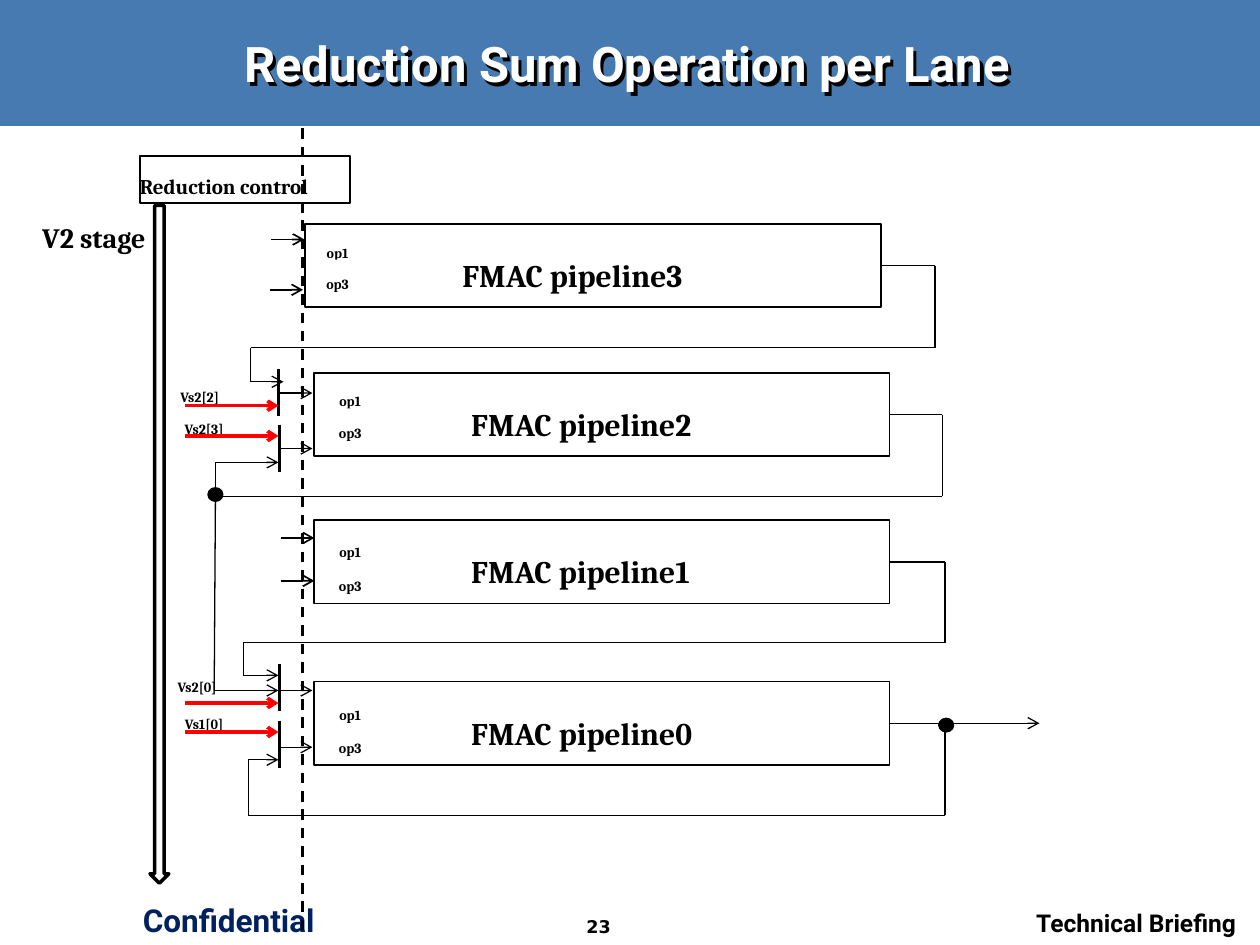
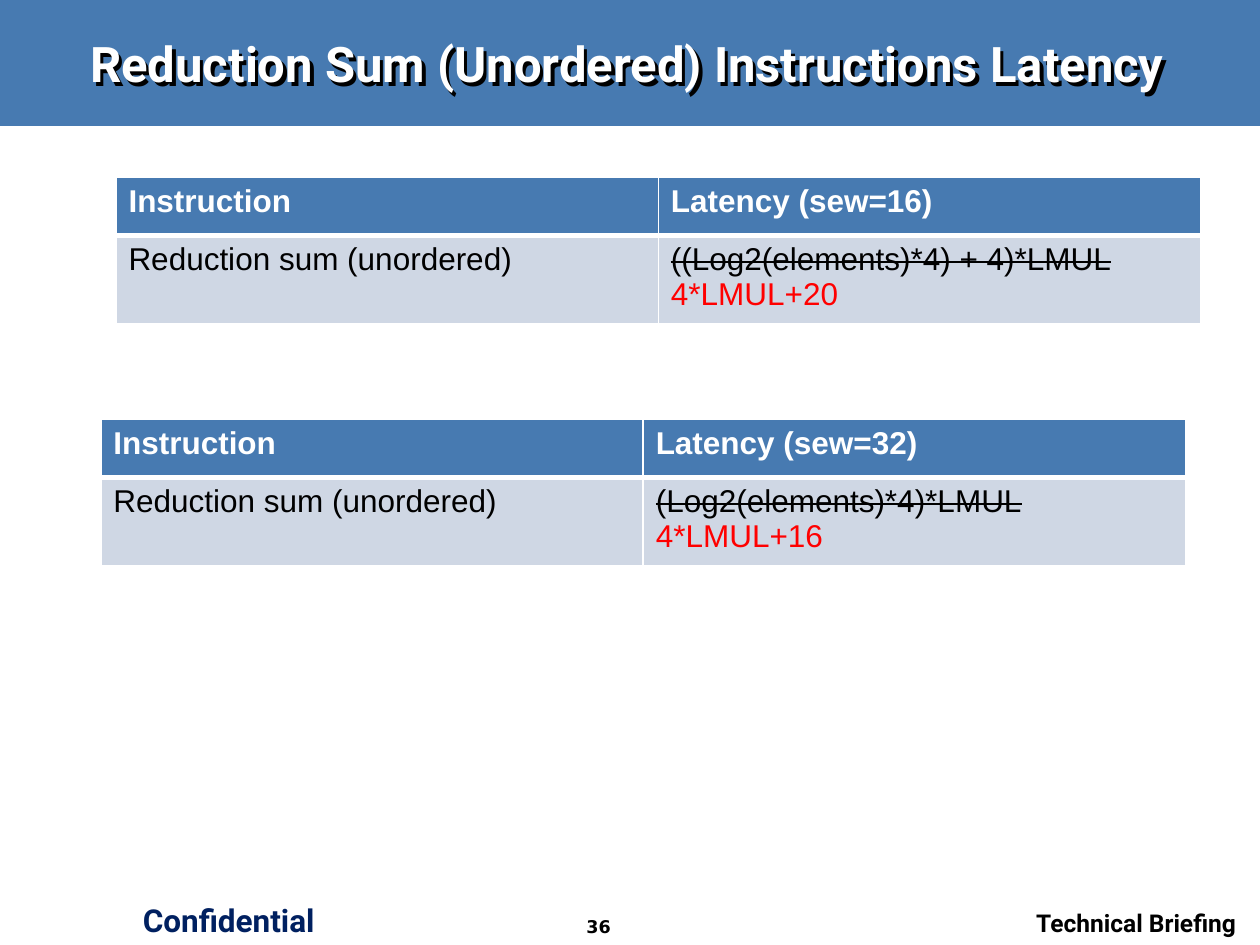
from itertools import pairwise

from lxml.etree import SubElement
from pptx import Presentation
from pptx.dml.color import RGBColor
from pptx.enum.dml import MSO_LINE
from pptx.enum.shapes import MSO_CONNECTOR, MSO_SHAPE
from pptx.enum.text import MSO_ANCHOR as Anchor, PP_ALIGN as Align
from pptx.oxml import parse_xml
from pptx.oxml.ns import nsdecls, qn
from pptx.util import Inches, Pt

BLUE = RGBColor(0x47, 0x7A, 0xB1)
NAVY = RGBColor(0x00, 0x20, 0x60)
PALE = RGBColor(0xCF, 0xD7, 0xE4)
RED = RGBColor(0xFF, 0x00, 0x00)
BLACK = RGBColor(0x00, 0x00, 0x00)
WHITE = RGBColor(0xFF, 0xFF, 0xFF)

# The slide is a grid of 100 columns by 75 rows
COLUMNS, ROWS = 100, 75
CELL = Inches(10) // COLUMNS

TITLE = dict(name="Roboto", size=Pt(28), bold=True)
MARKING = dict(name="Roboto", size=Pt(18), bold=True)
SLOGAN = dict(name="Roboto", size=Pt(14), bold=True)
NUMBER = dict(name="DejaVu Sans", size=Pt(10), bold=True)
STAGE = dict(name="Cambria", size=Pt(16), bold=True)
PIPELINE = dict(name="Cambria", size=Pt(18), bold=True)
CONTROL = dict(name="Cambria", size=Pt(12), bold=True)
SIGNAL = dict(name="Cambria", size=Pt(8), bold=True)
HEADING = dict(name="Arial", size=Pt(18), bold=True)
BODY = dict(name="Arial", size=Pt(18), bold=False)

# Pipeline name, left, top, op label shift and op1/op3 label drops,
# then its output loop: turn column, return row, back column, entry row, end column
PIPELINES = [
    ("FMAC pipeline3", 24.2, 17.8, 0.3, (0.3, 2.8), (74.2, 27.6, 19.9, 30.3, 22.5)),
    ("FMAC pipeline2", 24.9, 29.6, 0.6, (0.3, 2.8), (74.8, 39.4, 17.1, 36.7, 22.1)),
    ("FMAC pipeline1", 24.9, 41.3, 0.6, (0.6, 3.3), (75, 51, 19.3, 53.6, 22.1)),
    ("FMAC pipeline0", 24.9, 54.1, 0.6, (0.7, 3.3), (75, 64.7, 19.7, 60.3, 22.1)),
]
PIPE_WIDTH, PIPE_HEIGHT = 45.7, 6.6

# Source operand, label left, top and width, bar column and top, input row, output row
MUXES = [
    ("Vs1[0]", 12.6, 55.5, 7.2, 22.2, 57.2, 58.1, 59.3),
    ("Vs2[0]", 12.8, 52.6, 5.7, 22.2, 52.7, 55.8, 54.8),
    ("Vs2[2]", 13, 29.6, 5.7, 22.1, 29.3, 32.2, 31.2),
    ("Vs2[3]", 13, 32.1, 6.4, 22.2, 33.7, 34.6, 35.6),
]
BAR_HEIGHT = 3.75

# Plain operand inputs: left column, row
OPERAND_INPUTS = [(21.5, 19), (21.4, 23), (22.3, 42.7), (22.3, 46.1)]

LATENCIES = [
    (9.2, 14.1, "Latency (sew=16)", "((Log2(elements)*4) + 4)*LMUL", "4*LMUL+20"),
    (8, 33.3, "Latency (sew=32)", "(Log2(elements)*4)*LMUL", "4*LMUL+16"),
]


def grid(*cells):
    return [round(cell * CELL) for cell in cells]


def add_run(paragraph, text, style, color):
    run = paragraph.add_run()
    run.text = text
    for key, value in style.items():
        setattr(run.font, key, value)
    run.font.color.rgb = color
    return run


def add_text(slide, area, text, style, color=BLACK, align=Align.CENTER):
    box = slide.shapes.add_textbox(*grid(*area))
    box.text_frame.word_wrap = True
    paragraph = box.text_frame.paragraphs[0]
    paragraph.alignment = align
    add_run(paragraph, text, style, color)
    return box


def add_block(slide, kind, area, fill=WHITE, border=None):
    block = slide.shapes.add_shape(kind, *grid(*area))
    block.shadow.inherit = False
    if fill is None:
        block.fill.background()
    else:
        block.fill.solid()
        block.fill.fore_color.rgb = fill
    if border:
        block.line.color.rgb = BLACK
        block.line.width = Pt(border)
    else:
        block.line.fill.background()
    return block


def add_label(slide, area, text, style, border=None, indent=None):
    """White box; a bordered one is left-aligned and has no side margins."""
    block = add_block(slide, MSO_SHAPE.RECTANGLE, area, WHITE, border)
    frame = block.text_frame
    frame.word_wrap = True
    frame.vertical_anchor = Anchor.MIDDLE
    if border:
        frame.margin_left = frame.margin_right = 0
    paragraph = frame.paragraphs[0]
    paragraph.alignment = Align.LEFT if border else Align.CENTER
    paragraph.line_spacing = 1.5
    if indent:
        properties = paragraph._p.get_or_add_pPr()
        properties.set("marL", "0")
        properties.set("indent", str(grid(indent)[0]))
    add_run(paragraph, text, style, BLACK)
    return block


def add_wire(slide, points, width=0.75, color=BLACK, arrow=True, dash=None, source=None):
    """Straight segments through the points; the arrowhead ends the last one."""
    for start, end in pairwise(points):
        segment = slide.shapes.add_connector(MSO_CONNECTOR.STRAIGHT, *grid(*start, *end))
        segment.line.color.rgb = color
        segment.line.width = Pt(width)
        if dash:
            segment.line.dash_style = dash
        SubElement(segment._element.spPr, qn("a:effectLst"))
        if source is not None and start == points[0]:
            segment.begin_connect(source, 3)
    if arrow:
        SubElement(segment.get_or_add_ln(), qn("a:tailEnd"), type="arrow")


def add_dot(slide, left, top):
    add_block(slide, MSO_SHAPE.OVAL, (left, top, 1, 0.9), BLACK, 2)


def add_base(deck, title, number):
    """Blank slide with the title band and footers."""
    slide = deck.slides.add_slide(deck.slide_layouts[6])
    add_block(slide, MSO_SHAPE.RECTANGLE, (0, 0, COLUMNS, 10), BLUE)
    add_text(slide, (9.4, 71, 17.5, 4.2), "Confidential", MARKING, NAVY)
    add_text(slide, (75.4, 71.6, 23.7, 2.7), "Technical Briefing", SLOGAN, align=Align.RIGHT)
    add_text(slide, (42.9, 72.2, 9.2, 2.8), number, NUMBER)
    heading = add_text(slide, (2.2, 1.7, 95.1, 6.6), title, TITLE, WHITE)
    heading.text_frame.vertical_anchor = Anchor.MIDDLE
    # The shadow of an unfilled box falls from its letters
    heading._element.spPr.append(parse_xml(
        f'<a:effectLst {nsdecls("a")}><a:outerShdw dist="36000" dir="2700000">'
        '<a:srgbClr val="000000"/></a:outerShdw></a:effectLst>'))
    return slide


def add_pipeline(slide, name, left, top, op_shift, op_drops, loop):
    pipeline = add_label(slide, (left, top, PIPE_WIDTH, PIPE_HEIGHT), name, PIPELINE,
                         border=1, indent=12.5)
    for op, drop in zip(("op1", "op3"), op_drops):
        add_label(slide, (left + op_shift, top + drop, 4.6, 3.2), op, SIGNAL)
    turn, back_row, back, entry_row, end = loop
    middle = top + PIPE_HEIGHT / 2
    add_wire(slide, [(left + PIPE_WIDTH, middle), (turn, middle), (turn, back_row),
                     (back, back_row), (back, entry_row), (end, entry_row)],
             source=pipeline)


def build_lane(deck):
    slide = add_base(deck, "Reduction Sum Operation per Lane", "23")
    add_label(slide, (0, 16.7, 14.9, 2.9), "V2 stage", STAGE)
    for name, left, top, width, *_ in MUXES:
        add_label(slide, (left, top, width, 3.2), name, SIGNAL)
    for pipeline in PIPELINES:
        add_pipeline(slide, *pipeline)

    # Multiplexers and operand inputs
    for *_, bar, bar_top, in_row, out_row in MUXES:
        add_wire(slide, [(bar, bar_top), (bar, bar_top + BAR_HEIGHT)], 1.75, arrow=False)
        add_wire(slide, [(14.7, in_row), (22.1, in_row)], 2, RED)
        add_wire(slide, [(bar, out_row), (24.8, out_row)])
    for left, row in OPERAND_INPUTS:
        add_wire(slide, [(left, row), (left + 2.65, row)], 1)

    # Branch from pipeline2 to pipeline0, and the lane's result
    add_wire(slide, [(17.1, 39.4), (17, 54.8), (22.1, 54.8)])
    add_wire(slide, [(75, 57.4), (82.5, 57.4)])
    add_dot(slide, 16.6, 38.8)
    add_dot(slide, 74.6, 57.1)

    # Control and stage boundary
    add_label(slide, (11.1, 12.4, 16.7, 3.7), "Reduction control", CONTROL, border=1)
    add_block(slide, MSO_SHAPE.DOWN_ARROW, (11.9, 16.3, 1.5, 53.8), None, 2)
    add_wire(slide, [(24, 10.2), (24, 74.2)], 1.5, arrow=False, dash=MSO_LINE.DASH)


def style_cell(cell, fill, borders):
    properties = cell._tc.get_or_add_tcPr()
    for side, width in borders.items():
        edge = SubElement(properties, qn(f"a:ln{side}"), w=str(Pt(width)))
        SubElement(SubElement(edge, qn("a:solidFill")), qn("a:srgbClr"), val=str(WHITE))
    cell.fill.solid()
    cell.fill.fore_color.rgb = fill


def add_latency_table(slide, left, top, heading, old, new):
    table = slide.shapes.add_table(2, 2, *grid(left, top, 86.1, 11.1)).table
    for row, height in zip(table.rows, grid(4.6, 4.1)):
        row.height = height
    looks = [(HEADING, WHITE, BLUE, dict(L=1, R=1, T=1, B=3)),
             (BODY, BLACK, PALE, dict(L=1, R=1, T=3, B=1))]
    texts = [("Instruction", heading), ("Reduction sum (unordered)", old)]
    for row, line, (style, color, fill, borders) in zip(table.rows, texts, looks):
        for cell, text in zip(row.cells, line):
            style_cell(cell, fill, borders)
            run = add_run(cell.text_frame.paragraphs[0], text, style, color)
    # The last cell strikes out the old formula and adds the new one
    run._r.get_or_add_rPr().set("strike", "sngStrike")
    add_run(cell.text_frame.add_paragraph(), new, BODY, RED)


def build_latency(deck):
    slide = add_base(deck, "Reduction Sum (Unordered) Instructions Latency", "36")
    for latency in LATENCIES:
        add_latency_table(slide, *latency)


def main():
    deck = Presentation()
    deck.slide_width, deck.slide_height = grid(COLUMNS, ROWS)
    build_lane(deck)
    build_latency(deck)
    deck.save("out.pptx")


if __name__ == "__main__":
    main()
